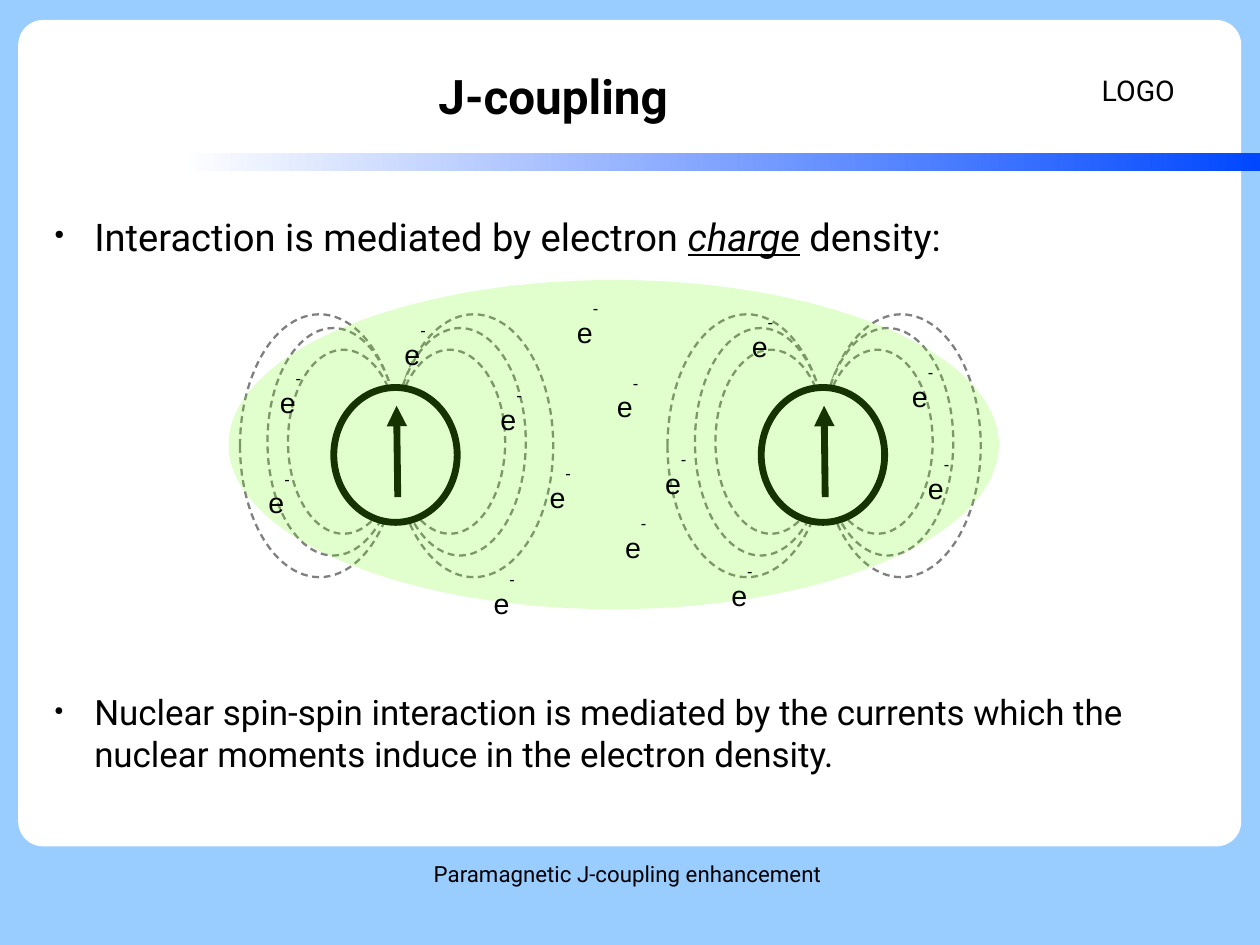
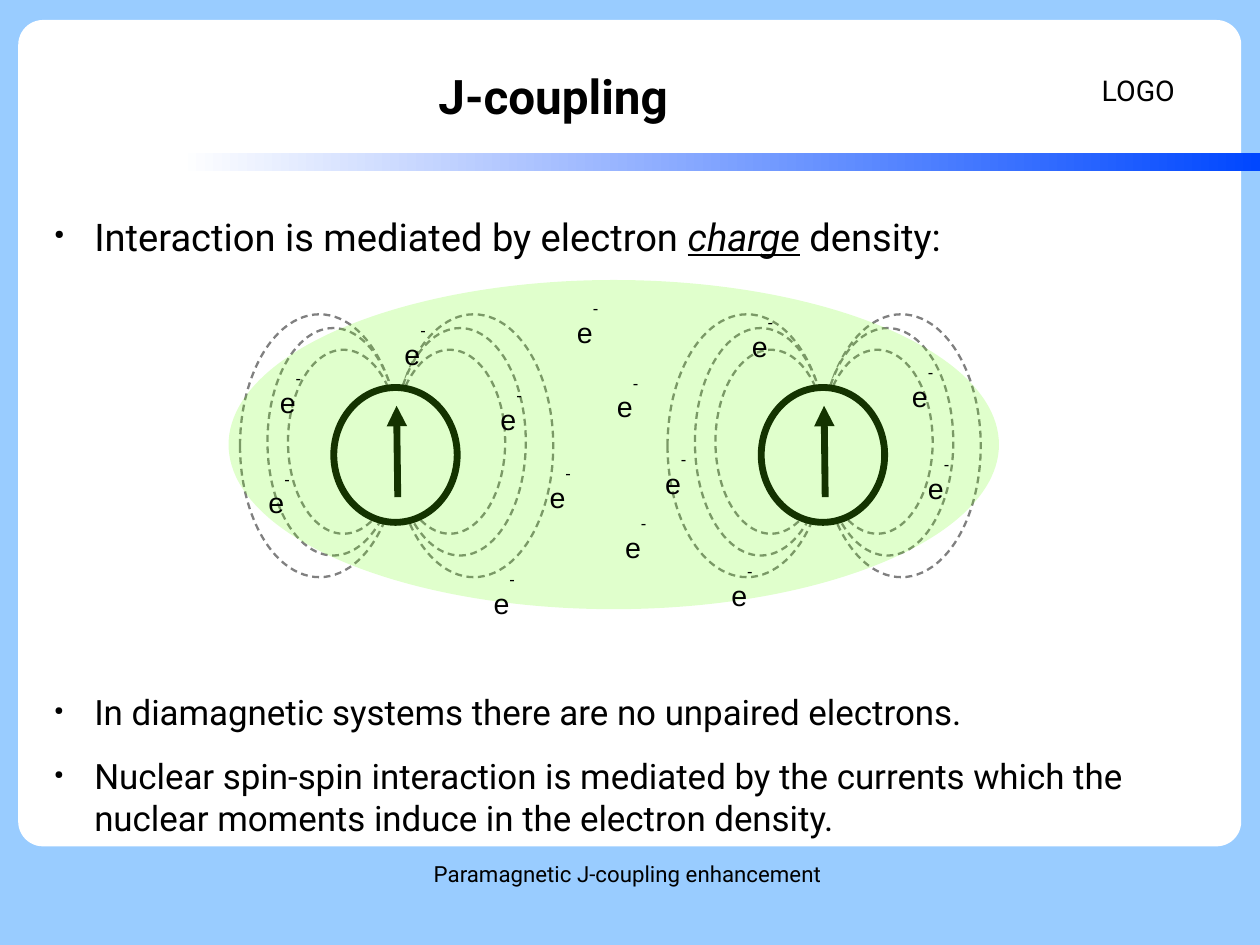
from lxml import etree
from pptx import Presentation
from pptx import util as u
from pptx.dml.color import RGBColor
from pptx.enum import shapes, text
from pptx.oxml.ns import qn

# Slide size, and a grid whose cell is a tenth of an inch
WIDE, HIGH = u.Cm(28), u.Cm(21)
CELL = 91440
COLS = WIDE / CELL

SKY = RGBColor(0x99, 0xCC, 0xFF)
BLUE = RGBColor(0x00, 0x47, 0xFF)
WHITE = RGBColor(0xFF, 0xFF, 0xFF)
BLACK = RGBColor(0x00, 0x00, 0x00)
GREY = RGBColor(0x80, 0x80, 0x80)
LIME = RGBColor(0x66, 0xFF, 0x00)
FACE = "Roboto"

# Field lobes around a nucleus: top, width, height
LOBES = [(27.5, 13.9, 23), (28.7, 11.5, 19.9), (30.6, 9.7, 16.1)]
NUCLEI = [34.6, 72]
# Electron labels: column, row
CHARGES = [
    (42.2, 49.3), (49.5, 25.6), (63, 48.6), (22.5, 40.5), (64.8, 26.8),
    (34.4, 27.5), (53.7, 44.4), (80.2, 39.2), (47.1, 40), (53, 32.1),
    (42.8, 33.2), (23.5, 31.7), (78.8, 31.2), (57.2, 38.8),
]

LEAD = [("Interaction is mediated by electron ", False), ("charge", True),
        (" density:", False)]
SPIN = [("Nuclear spin-spin interaction is mediated by the currents which "
         "the nuclear moments induce in the electron density.", False)]
PAIR = [("In diamagnetic systems there are no unpaired electrons.", False)]


def cells(*nums):
    return [u.Emu(round(n * CELL)) for n in nums]


def add(parent, tag, **attrs):
    return etree.SubElement(parent, qn(tag), attrs)


def style(para, size, bold=None, face=FACE):
    font = para.font
    font.name, font.size, font.bold = face, u.Pt(size), bold
    font.color.rgb = BLACK


def shape(slide, kind, box, fill=WHITE, line=None, width=1):
    item = slide.shapes.add_shape(kind, *cells(*box))
    item.shadow.inherit = False
    item.fill.solid()
    item.fill.fore_color.rgb = fill
    if line is None:
        item.line.fill.background()
    else:
        item.line.color.rgb = line
        item.line.width = u.Pt(width)
    return item


def oval(slide, *box, **look):
    return shape(slide, shapes.MSO_SHAPE.OVAL, box, **look)


def frame(slide, box, pad=0, middle=False):
    body = slide.shapes.add_textbox(*cells(*box)).text_frame
    body.word_wrap = True
    body.margin_left = body.margin_right = cells(pad)[0]
    body.margin_top = body.margin_bottom = cells(pad / 2)[0]
    if middle:
        body.vertical_anchor = text.MSO_ANCHOR.MIDDLE
    return body


def label(slide, words, box, size, pad=0, middle=False, bold=None):
    para = frame(slide, box, pad, middle).paragraphs[0]
    para.text = words
    if not pad:
        para.alignment = text.PP_ALIGN.CENTER
    style(para, size, bold)


def points(slide, box, items, size):
    body = frame(slide, box)
    for i, parts in enumerate(items):
        para = body.add_paragraph() if i else body.paragraphs[0]
        props = para._p.get_or_add_pPr()
        props.set("marL", str(cells(4.7)[0]))
        props.set("indent", str(cells(-3.5)[0]))
        add(add(props, "a:buClr"), "a:srgbClr", val=str(BLACK))
        add(props, "a:buSzPct", val="33000")
        add(props, "a:buChar", char="●")
        para.space_after = u.Pt(14.1)
        style(para, size)
        for words, stress in parts:
            run = para.add_run()
            run.text = words
            if stress:
                run.font.italic = run.font.underline = True


def arrow(slide, *ends):
    line = slide.shapes.add_connector(
        shapes.MSO_CONNECTOR.STRAIGHT, *cells(*ends))
    line.line.color.rgb = BLACK
    line.line.width = u.Pt(4.31)
    add(line.line._get_or_add_ln(), "a:tailEnd", type="triangle")
    add(line._element.spPr, "a:effectLst")


def atom(slide, mid):
    # Left lobes end just past the centre, right lobes start just before it
    for left in (True, False):
        for top, wide, high in LOBES:
            x = mid + 0.3 - wide if left else mid - 0.1
            lobe = oval(slide, x, top, wide, high, line=GREY, width=1.45)
            dash = add(lobe.line._get_or_add_ln(), "a:custDash")
            add(dash, "a:ds", d="300000", sp="200000")
    oval(slide, mid - 5.4, 33.9, 10.8, 11.8, line=BLACK, width=4.31)
    arrow(slide, mid + 0.2, 43.5, mid + 0.1, 35.5)


def charge(slide, x, y):
    para = frame(slide, (x, y, 5.6, 3.9), pad=1).paragraphs[0]
    style(para, 18, face="Arial")
    para.add_run().text = "e"
    sign = para.add_run()
    sign.text = "-"
    sign._r.get_or_add_rPr().set("baseline", "101000")


def base(slide):
    # White panel, fading bar, corner label and footer
    panel = shape(slide, shapes.MSO_SHAPE.ROUNDED_RECTANGLE,
                  (1.6, 1.75, 107, 72.3))
    panel.adjustments[0] = 0.03
    bar = shape(slide, shapes.MSO_SHAPE.RECTANGLE,
                (15.7, 13.4, COLS - 15.7, 1.6))
    bar.fill.gradient()
    bar.fill.gradient_angle = 0
    for stop, tint in zip(bar.fill.gradient_stops, (WHITE, BLUE)):
        stop.color.rgb = tint
    label(slide, "LOGO", (95.4, 3.15, 9.1, 9.4), 18, pad=1, middle=True)
    label(slide, "Paramagnetic J-coupling enhancement",
          (37.45, 75.3, 34.9, 5.7), 14)


def cloud(slide):
    # Two nuclei under a translucent electron cloud
    for mid in NUCLEI:
        atom(slide, mid)
    haze = oval(slide, 20, 24.5, 67.4, 28.8, fill=LIME)
    tint = haze._element.spPr.find(".//" + qn("a:srgbClr"))
    add(tint, "a:alpha", val="20000")
    for spot in CHARGES:
        charge(slide, *spot)


def page(deck, notes):
    slide = deck.slides.add_slide(deck.slide_layouts[6])
    base(slide)
    label(slide, "J-coupling", (5.5, 3.3, 85.8, 10.1), 30,
          middle=True, bold=True)
    points(slide, (3.55, 18.65, 102.7, 4.5), [LEAD], 24)
    cloud(slide)
    points(slide, (3.55, 60.4, 102.7, 13.3), notes, 22)


def main():
    deck = Presentation()
    deck.slide_width, deck.slide_height = WIDE, HIGH
    back = deck.slide_master.background.fill
    back.solid()
    back.fore_color.rgb = SKY
    for notes in ([SPIN], [PAIR, SPIN]):
        page(deck, notes)
    deck.save("out.pptx")


if __name__ == "__main__":
    main()
